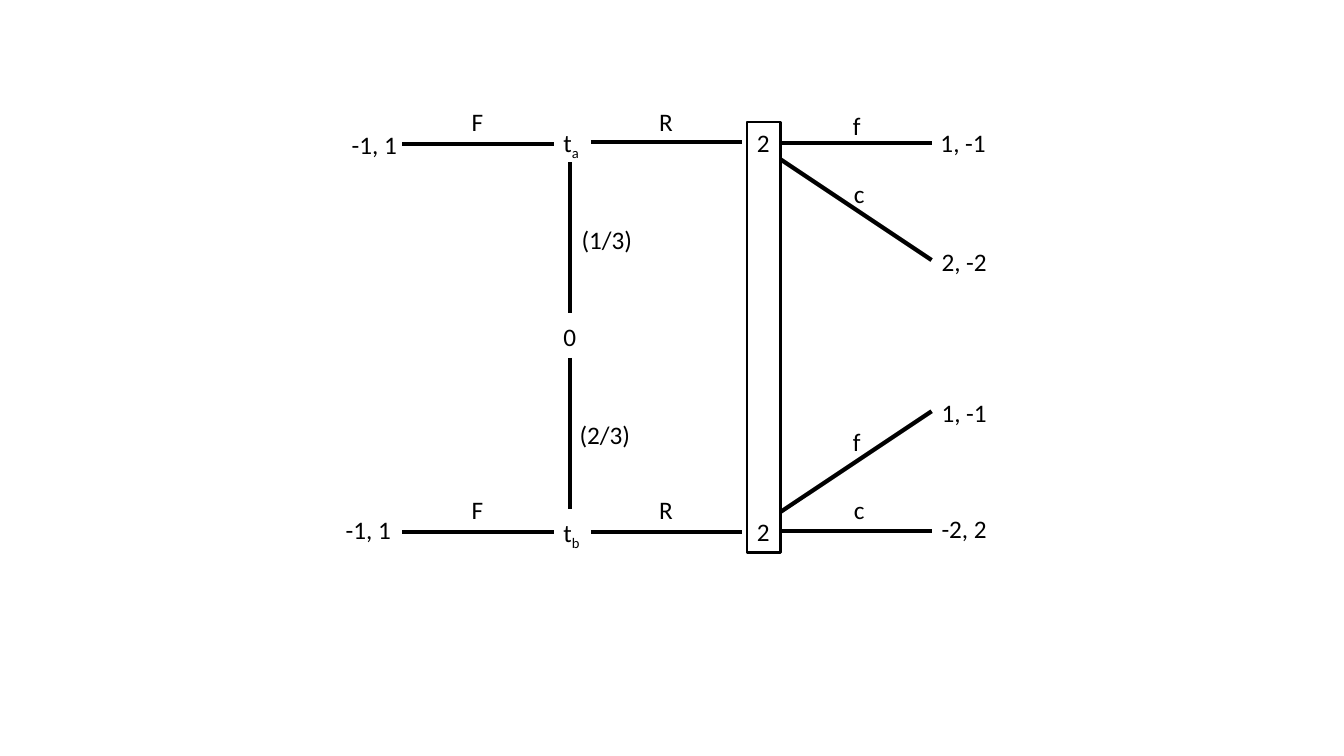
from pptx import Presentation
from pptx import util as u
from pptx.dml.color import RGBColor
from pptx.enum import shapes, text
from pptx.oxml.ns import qn
from lxml import etree

PX = 9144  # 100 px to the inch
BLACK = RGBColor(0, 0, 0)
FONT = "Calibri"
LABEL_H = 40

# Branches: start x, start y, horizontal run, vertical run
BRANCHES = [
    (565, 161, 0, 150), (565, 355, 0, 150),        # chance moves
    (399, 143, 150, 0), (399, 528, 150, 0),        # F
    (586, 141, 150, 0), (586, 528, 150, 0),        # R
    (774, 142, 150, 0), (774, 158, 150, 100),      # upper f, c
    (774, 508, 150, -100), (774, 527, 150, 0),     # lower f, c
]

# Labels: text, subscript, width, [(left, top), ...]
LABELS = [
    ("0", "", 33, [(549, 314)]),
    ("t", "a", 36, [(549, 121)]),
    ("t", "b", 37, [(549, 508)]),
    ("(1/3)", "", 71, [(567, 218)]),
    ("(2/3)", "", 71, [(565, 411)]),
    ("F", "", 32, [(458, 101), (458, 486)]),
    ("R", "", 34, [(644, 101), (644, 486)]),
    ("2", "", 33, [(741, 121), (741, 507)]),
    ("f", "", 28, [(836, 105), (836, 418)]),
    ("c", "", 31, [(837, 172), (837, 485)]),
    ("-1, 1", "", 66, [(339, 123), (333, 505)]),
    ("1, -1", "", 66, [(923, 121), (924, 389)]),
    ("2, -2", "", 66, [(924, 239)]),
    ("-2, 2", "", 66, [(924, 504)]),
]

INFORMATION_SET = (741, 121, 33, 427)


def px(*values):
    return [u.Emu(v * PX) for v in values]


def add_branch(s, x, y, dx, dy):
    line = s.shapes.add_connector(shapes.MSO_CONNECTOR.STRAIGHT, *px(x, y, x + dx, y + dy))
    line.line.color.rgb = BLACK
    line.line.width = u.Pt(3)
    etree.SubElement(line._element.spPr, qn("a:effectLst"))


def add_label(s, words, box, subscript="", size=18, color=BLACK):
    tf = s.shapes.add_textbox(*px(*box)).text_frame
    tf.word_wrap = False
    tf.auto_size = text.MSO_AUTO_SIZE.SHAPE_TO_FIT_TEXT
    p = tf.paragraphs[0]
    for part in filter(None, (words, subscript)):
        r = p.add_run()
        r.text = part
        r.font.name = FONT
        r.font.size = u.Pt(size)
        r.font.color.rgb = color
    if subscript:
        r._r.get_or_add_rPr().set("baseline", "-25000")


def main():
    prs = Presentation()
    prs.slide_width, prs.slide_height = px(1333, 750)
    s = prs.slides.add_slide(prs.slide_layouts[6])

    for branch in BRANCHES:
        add_branch(s, *branch)
    for words, subscript, width, spots in LABELS:
        for left, top in spots:
            add_label(s, words, (left, top, width, LABEL_H), subscript=subscript)

    sp = s.shapes.add_shape(shapes.MSO_SHAPE.RECTANGLE, *px(*INFORMATION_SET))
    sp.shadow.inherit = False
    sp.fill.background()
    sp.line.color.rgb = BLACK
    sp.line.width = u.Pt(2)

    prs.save("out.pptx")


if __name__ == "__main__":
    main()
